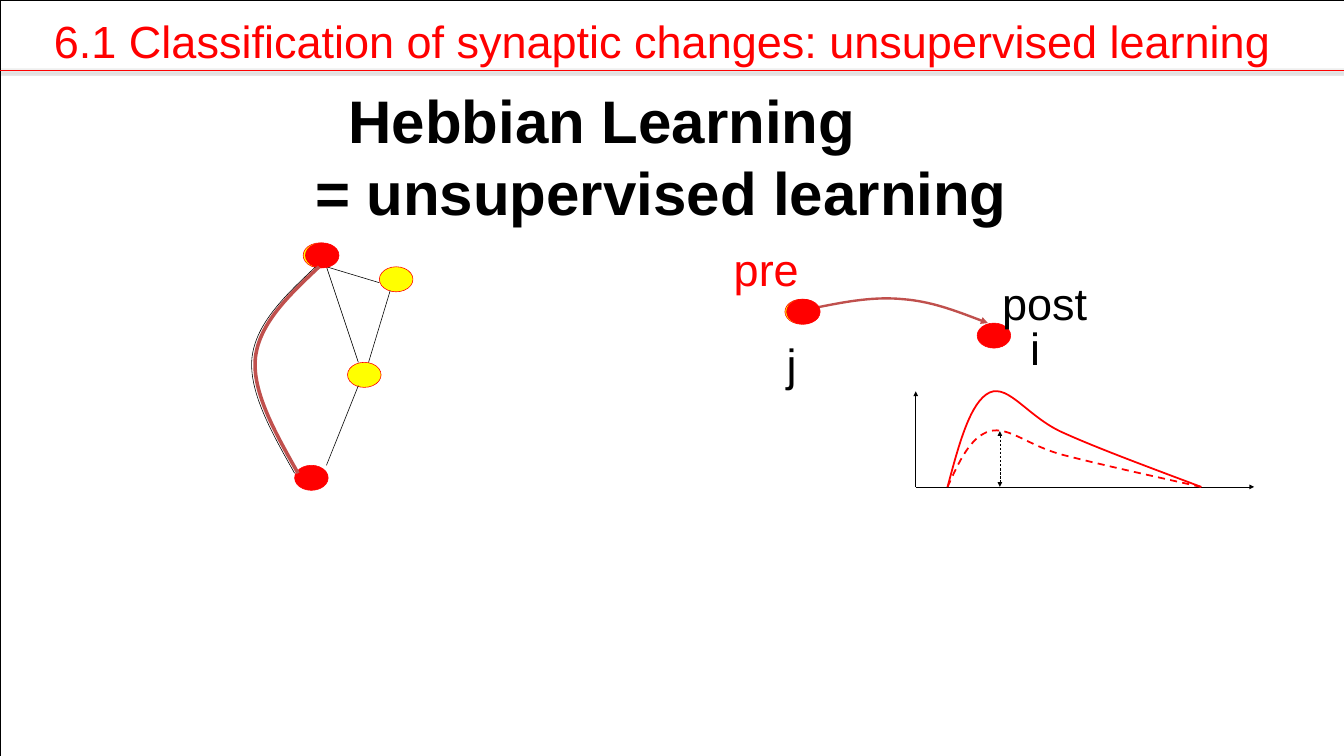
from lxml import etree
from pptx import Presentation
from pptx.dml.color import RGBColor
from pptx.enum import dml, shapes, text
from pptx.oxml import ns
from pptx.util import Inches, Pt

RED, BLACK, YELLOW, ROSE = "FF0000", "000000", "FFFF00", "C0504D"
WIDE, HIGH = 23.63, 13.29


def color(code):
    return RGBColor.from_string(code)


def add_tag(parent, name, **attrs):
    return etree.SubElement(parent, ns.qn(name), attrs)


def style_line(line, code, width, dash=False, ends=()):
    """Style a line; ends names the arrow tags, headEnd before tailEnd."""
    line.color.rgb = color(code)
    line.width = Pt(width)
    if dash:
        line.dash_style = dml.MSO_LINE.DASH
    for end in ends:
        add_tag(line._get_or_add_ln(), end, type="triangle")


def add_solid(slide, kind, box, fill=None, edge=RED):
    shape = slide.shapes.add_shape(kind, *map(Inches, box))
    shape.shadow.inherit = False
    if fill:
        shape.fill.solid()
        shape.fill.fore_color.rgb = color(fill)
    else:
        shape.fill.background()
    style_line(shape.line, edge, 0.75)


def add_cell(slide, left, top, fill):
    add_solid(slide, shapes.MSO_SHAPE.OVAL, (left, top, 0.59, 0.44), fill)


def add_line(slide, start, end, code=BLACK, width=0.75, dash=False, ends=()):
    """Draw a straight line and return its empty effect list."""
    line = slide.shapes.add_connector(
        shapes.MSO_CONNECTOR.STRAIGHT, *map(Inches, start + end))
    style_line(line.line, code, width, dash, ends)
    return add_tag(line._element.spPr, "a:effectLst")


def add_curve(slide, knots, code, width, dash=False, ends=()):
    """Draw cubic curves; knots hold a start, then three points per curve."""
    start, *rest = [tuple(map(Inches, knot)) for knot in knots]
    build = slide.shapes.build_freeform(*start)
    build.add_line_segments(rest, close=False)
    shape = build.convert_to_shape()
    trail = next(shape._element.iter(ns.qn("a:path")))
    steps = trail.findall(ns.qn("a:lnTo"))
    for first in range(0, len(steps), 3):
        cubic = add_tag(trail, "a:cubicBezTo")
        for step in steps[first:first + 3]:
            cubic.append(step[0])
            trail.remove(step)
    shape.shadow.inherit = False
    shape.fill.background()
    style_line(shape.line, code, width, dash, ends)


def add_text(slide, box, lines, size=57, code=BLACK, bold=False,
             pad=(0.21, 0.11)):
    """Write lines given as (indent in inches, wording)."""
    frame = slide.shapes.add_textbox(*map(Inches, box)).text_frame
    frame.word_wrap = False
    frame.auto_size = text.MSO_AUTO_SIZE.SHAPE_TO_FIT_TEXT
    frame.margin_left = frame.margin_right = Inches(pad[0])
    frame.margin_top = frame.margin_bottom = Inches(pad[1])
    for row, (indent, words) in enumerate(lines):
        para = frame.add_paragraph() if row else frame.paragraphs[0]
        if indent:
            para._p.get_or_add_pPr().set("marL", str(Inches(indent)))
        run = para.add_run()
        run.text = words
        font = run.font
        font.name, font.size, font.bold = "Arial", Pt(size), bold
        font.color.rgb = color(code)


def draw_net(slide):
    for left, top in ((5.33, 4.27), (6.67, 4.69), (6.11, 6.37)):
        add_cell(slide, left, top, YELLOW)
    bend = [(5.55, 4.69), (5.02, 5.19), (4.5, 5.68), (4.43, 6.29),
            (4.37, 6.89), (4.78, 7.61), (5.18, 8.32)]
    add_curve(slide, bend, BLACK, 0.75)
    for start, end in (((6.86, 5.11), (6.48, 6.37)),
                       ((5.74, 4.69), (6.3, 6.37)),
                       ((5.74, 4.69), (6.67, 4.97)),
                       ((6.3, 6.78), (5.74, 8.18))):
        add_line(slide, start, end)
    for left, top in ((5.37, 4.27), (5.18, 8.18)):
        add_cell(slide, left, top, RED)
    add_curve(slide, [(x + 0.06, y) for x, y in bend], ROSE, 4.5)


def draw_pair(slide):
    add_cell(slide, 13.8, 5.26, YELLOW)
    add_curve(slide, [(14.39, 5.4), (14.89, 5.3), (15.38, 5.21),
                      (15.88, 5.26), (16.38, 5.3), (16.87, 5.49),
                      (17.37, 5.68)], ROSE, 3, ends=["a:tailEnd"])
    add_cell(slide, 13.83, 5.26, RED)
    add_cell(slide, 17.18, 5.68, RED)
    for box, word, code in (((12.69, 4.13, 1.58, 1.17), "pre", RED),
                            ((17.41, 4.74, 1.94, 1.17), "post", BLACK),
                            ((17.9, 5.53, 0.6, 1.17), "i", BLACK),
                            ((13.62, 5.81, 0.6, 1.17), "j", BLACK)):
        add_text(slide, box, [(0, word)], code=code)


def draw_plot(slide):
    base = 8.56
    for end in ((22.05, base), (16.1, 6.88)):
        add_line(slide, (16.1, base), end, ends=["a:tailEnd"])
    across = (16.66, 16.86, 17.06, 17.4, 17.74, 18.08, 18.7, 19.32, 20.22,
              21.12)
    low = (base, 8.12, 7.68, 7.58, 7.49, 7.84, 8, 8.16, 8.36, base)
    high = (base, 7.81, 7.06, 6.9, 6.75, 7.34, 7.61, 7.89, 8.22, base)
    add_curve(slide, list(zip(across, low)), RED, 2.25, dash=True)
    add_line(slide, (17.58, 7.58), (17.58, base), dash=True,
             ends=["a:headEnd", "a:tailEnd"])
    add_curve(slide, list(zip(across, high)), RED, 2.25)


def draw_title(slide):
    effects = add_line(slide, (0, 1.24), (WIDE, 1.24), RED, 2)
    shade = add_tag(effects, "a:outerShdw", blurRad=str(Pt(3.1)),
                    dist=str(Pt(1.6)), dir="5400000", rotWithShape="0")
    tint = add_tag(shade, "a:srgbClr", val=BLACK)
    add_tag(tint, "a:alpha", val="38000")
    add_text(slide, (0.85, 0.18, 21.82, 1.06), [
        (0, "6.1 Classification of synaptic changes: unsupervised learning")],
        code=RED, pad=(0.1, 0.05))


def main():
    deck = Presentation()
    deck.slide_width, deck.slide_height = Inches(WIDE), Inches(HIGH)
    slide = deck.slides.add_slide(deck.slide_layouts[6])
    add_solid(slide, shapes.MSO_SHAPE.RECTANGLE, (0, 0, WIDE, HIGH),
              edge=BLACK)
    add_text(slide, (5.33, 1.36, 12.71, 2.77),
             [(0.59, "Hebbian Learning"), (0, "= unsupervised learning")],
             size=76, bold=True)
    draw_net(slide)
    draw_pair(slide)
    draw_plot(slide)
    draw_title(slide)
    deck.save("out.pptx")


if __name__ == "__main__":
    main()
